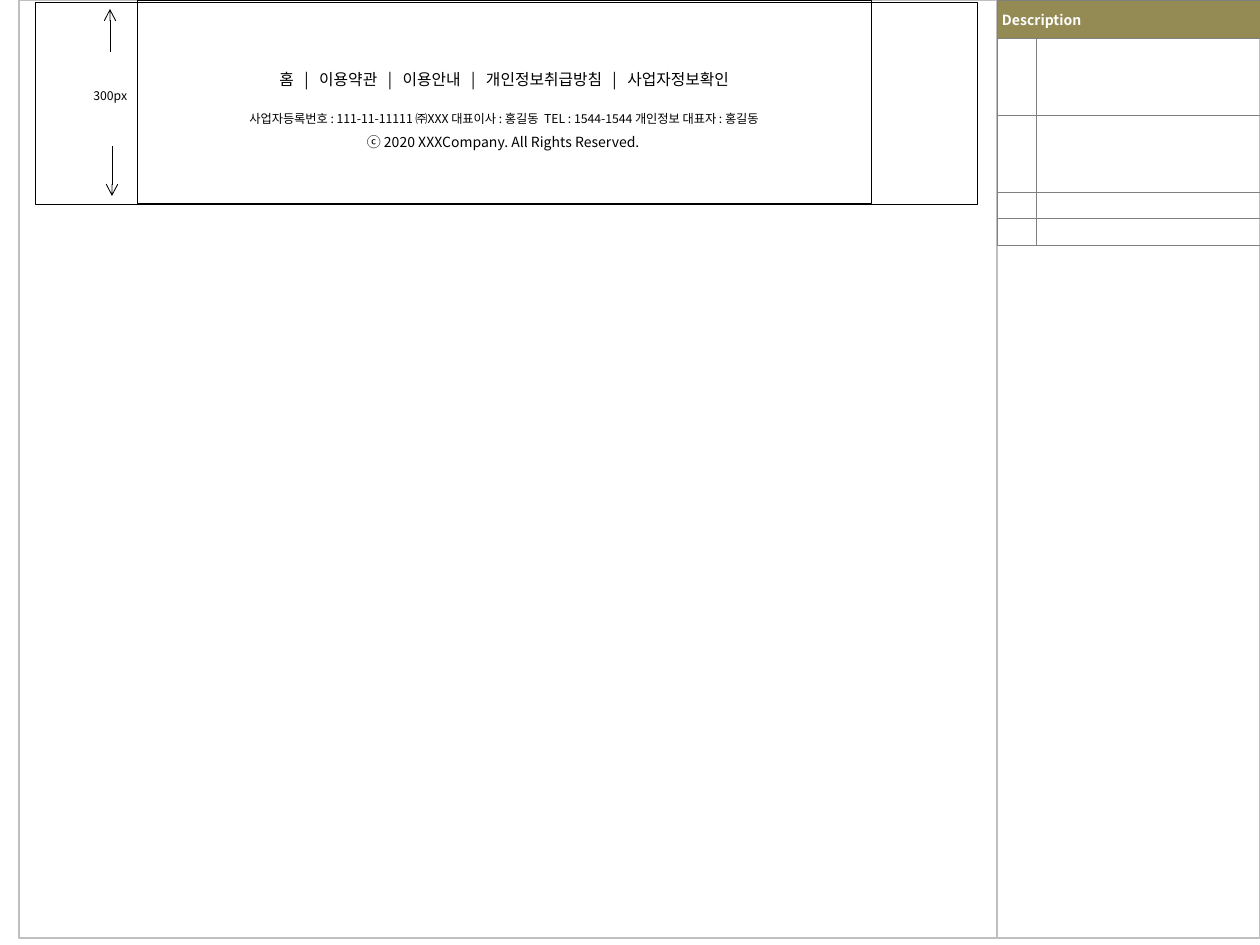
from lxml.etree import SubElement
from pptx import Presentation
from pptx.dml.color import RGBColor
from pptx.enum.shapes import MSO_CONNECTOR, MSO_SHAPE
from pptx.enum.text import MSO_ANCHOR, MSO_AUTO_SIZE, PP_ALIGN
from pptx.oxml.ns import qn
from pptx.util import Emu, Pt

COLORS = {"black": "000000", "white": "FFFFFF", "frame": "BFBFBF",
          "border": "808080", "header": "948A54"}
RGB = {name: RGBColor.from_string(value) for name, value in COLORS.items()}
FONT = "Noto Sans CJK KR"
SCALE = 914400 / 126


def px(*lengths):
    return [Emu(round(length * SCALE)) for length in lengths]


def style(paragraph, size, color="black", bold=False):
    font = paragraph.font
    font.size, font.bold, font.name = Pt(size), bold, FONT
    font.color.rgb = RGB[color]
    SubElement(paragraph._p.pPr.find(qn("a:defRPr")), qn("a:ea"), typeface=FONT)


deck = Presentation()
deck.slide_width, deck.slide_height = px(1260, 945)
slide = deck.slides.add_slide(deck.slide_layouts[6])
page_frame = slide.shapes.add_group_shape()

for parent, box, color, width in [
    (page_frame, (19, 0, 1241, 938), "frame", 1.5),
    (page_frame, (997, 0, 263, 938), "frame", 1.5),
    (slide, (35, 3, 943, 202), "black", 0.5),
    (slide, (137, 0, 734, 204), "black", 0.5),
]:
    outline = parent.shapes.add_shape(MSO_SHAPE.RECTANGLE, *px(*box))
    outline.shadow.inherit = False
    outline.fill.background()
    outline.line.color.rgb = RGB[color]
    outline.line.width = Pt(width)

for x, start, end in [(110, 52, 9), (112, 146, 196)]:
    arrow = slide.shapes.add_connector(MSO_CONNECTOR.STRAIGHT, *px(x, start, x, end))
    arrow.line.color.rgb = RGB["black"]
    arrow.line.width = Pt(0.5)
    SubElement(arrow.line._get_or_add_ln(), qn("a:tailEnd"), type="arrow")
    SubElement(arrow._element.spPr, qn("a:effectLst"))

menu = ["홈", "이용약관", "이용안내", "개인정보취급방침", "사업자정보확인"]
company = "사업자등록번호 : 111-11-11111 ㈜XXX 대표이사 : 홍길동  TEL : 1544-1544 개인정보 대표자 : 홍길동"
for text, box, size, align, wrap in [
    ("300px", (81, 82, 59, 28), 7, PP_ALIGN.LEFT, False),
    ("   |   ".join(menu), (137, 64, 734, 32), 9, PP_ALIGN.CENTER, True),
    ("ⓒ 2020 XXXCompany. All Rights Reserved.", (315, 127, 377, 30), 8, PP_ALIGN.CENTER, True),
    (company, (137, 105, 734, 28), 7, PP_ALIGN.CENTER, True),
]:
    frame = slide.shapes.add_textbox(*px(*box)).text_frame
    frame.word_wrap = wrap
    frame.auto_size = MSO_AUTO_SIZE.SHAPE_TO_FIT_TEXT
    frame.text = text
    frame.paragraphs[0].alignment = align
    style(frame.paragraphs[0], size)

row_heights = px(38, 77, 77, 26, 27)
column_widths = px(39, 224)
description = slide.shapes.add_table(
    len(row_heights), len(column_widths), *px(997, 0, 263, 245)).table
for row, height in zip(description.rows, row_heights):
    row.height = height
for column, width in zip(description.columns, column_widths):
    column.width = width

for cell in description.iter_cells():
    cell.margin_left = cell.margin_right = cell.margin_top = cell.margin_bottom = px(5)[0]
    cell.vertical_anchor = MSO_ANCHOR.MIDDLE
    properties = cell._tc.get_or_add_tcPr()
    for side in ("lnL", "lnR", "lnT", "lnB"):
        border = SubElement(properties, qn(f"a:{side}"), w=str(Pt(0.25)))
        SubElement(SubElement(border, qn("a:solidFill")), qn("a:srgbClr"), val=COLORS["border"])
    cell.fill.background()
    SubElement(cell.text_frame.paragraphs[0]._p, qn("a:endParaRPr"), sz="600")

header = description.cell(0, 0)
header.merge(description.cell(0, 1))
header.fill.solid()
header.fill.fore_color.rgb = RGB["header"]
header.text = "Description"
style(header.text_frame.paragraphs[0], 8, "white", True)

deck.save("out.pptx")
